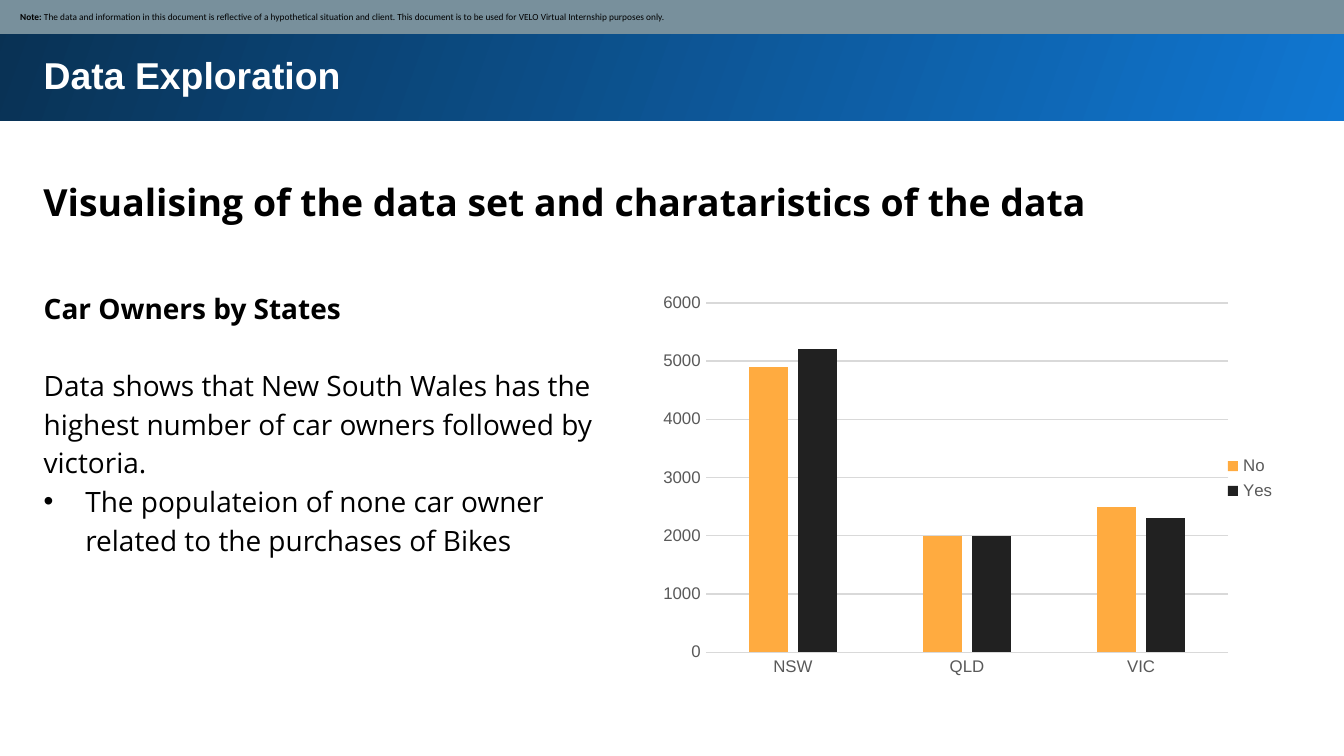
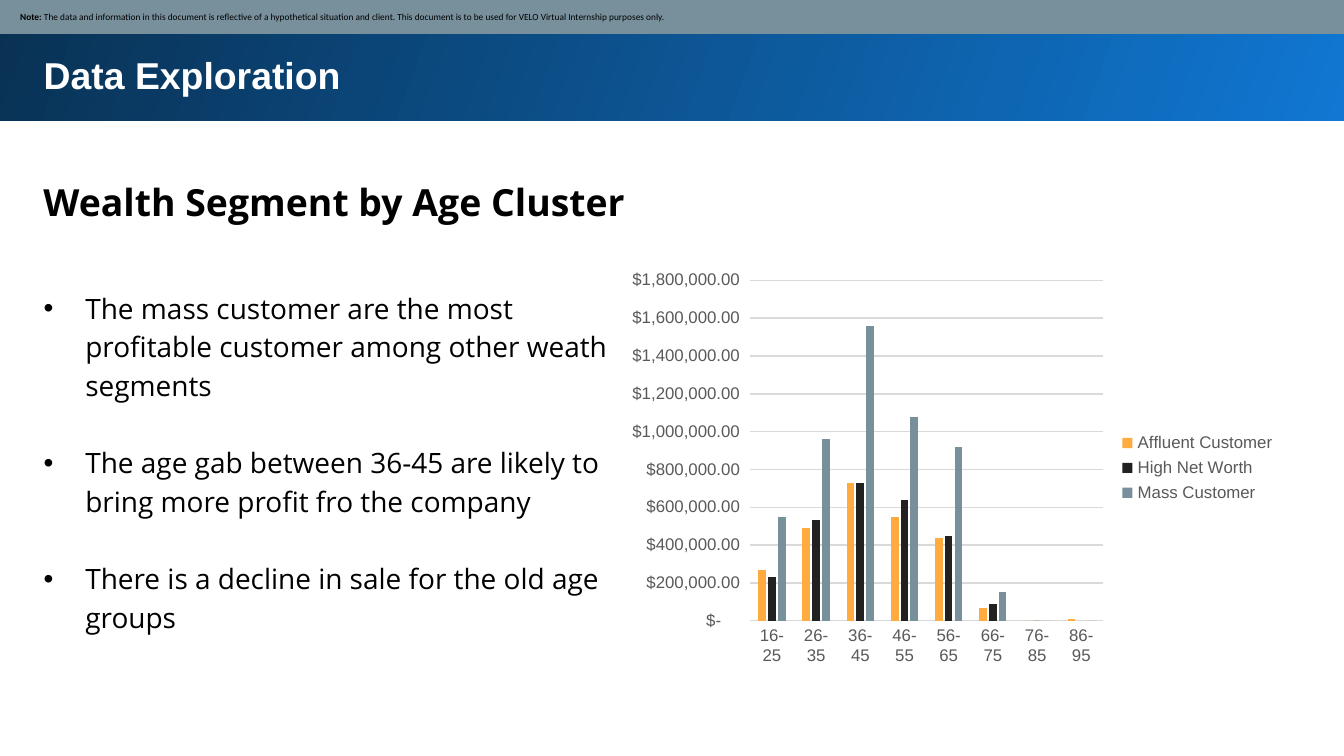
from lxml.etree import SubElement
from pptx import Presentation
from pptx.chart.data import CategoryChartData
from pptx.dml.color import RGBColor
from pptx.enum.chart import XL_CHART_TYPE, XL_LEGEND_POSITION, XL_TICK_MARK
from pptx.enum.shapes import MSO_SHAPE
from pptx.enum.text import MSO_ANCHOR, MSO_AUTO_SIZE, PP_ALIGN
from pptx.oxml import parse_xml
from pptx.oxml.ns import nsdecls, qn
from pptx.util import Inches, Pt

BLACK, WHITE, GREY, RULE = "000000", "FFFFFF", "595959", "D9D9D9"
BLUE, NAVY = "1077D2", "093153"
ORANGE, CHARCOAL, SLATE = "FFAB40", "212121", "78909C"
SERIES_COLORS = [ORANGE, CHARCOAL, SLATE]
DOLLARS = (r'_-[$$-409]* #,##0.00_ ;_-[$$-409]* \-#,##0.00\ ;'
           r'_-[$$-409]* "-"??_ ;_-@_ ')
NOTE = ("The data and information in this document is reflective of a "
        "hypothetical situation and client. This document is to be used for "
        "VELO Virtual Internship purposes only.")
LINE = 20.7    # one line of body text, in points
INDENT = Inches(0.31)

# Body paragraphs are (text, bold, bullet, points before).
SLIDES = [
    {
        "heading": "Visualising of the data set and charataristics of the data",
        "body": [
            ("Car Owners by States", True, False, 0),
            ("Data shows that New South Wales has the highest number of car "
             "owners followed by victoria.", False, False, LINE),
            ("The populateion of none car owner related to the purchases of "
             "Bikes", False, True, 0),
        ],
        "body_height": 50,
        "chart_top": 36.1,
        "categories": ["NSW", "QLD", "VIC"],
        "series": {"No": [4900, 2000, 2500], "Yes": [5200, 2000, 2300]},
        "format": "General",
        "axis": (6000, 1000),
        "plot": {"x": 0.136, "y": 0.073, "w": 0.774, "h": 0.85},
    },
    {
        "heading": "Wealth Segment by Age Cluster",
        "body": [
            ("The mass customer are the most profitable customer among other "
             "weath segments", False, True, 0),
            ("The age gab between 36-45 are likely to bring more profit fro "
             "the company", False, True, LINE),
            ("There is a decline in sale for the old age groups",
             False, True, LINE),
        ],
        "body_height": 55.2,
        "chart_top": 34.7,
        "categories": [f"{a}-{a + 9}" for a in range(16, 87, 10)],
        "series": {
            "Affluent Customer": [270000, 490000, 730000, 550000,
                                  440000, 70000, 0, 10000],
            "High Net Worth": [230000, 530000, 730000, 640000,
                               450000, 90000, 0, None],
            "Mass Customer": [550000, 960000, 1560000, 1080000,
                              920000, 150000, 0, 0],
        },
        "format": DOLLARS,
        "axis": (1800000, 200000),
        "plot": None,
    },
]

prs = Presentation()
prs.slide_width = Inches(10)
prs.slide_height = prs.slide_width * 9 // 16
rgb = RGBColor.from_string


def area(x, y, w, h):
    """Turn percentages of the slide into left, top, width and height."""
    return [int(size * share / 100) for size, share in
            zip((prs.slide_width, prs.slide_height) * 2, (x, y, w, h))]


def style(font, name, size, color, bold=False):
    """Set the face, size, colour and weight of a font."""
    font.name, font.size, font.bold = name, Pt(size), bold
    font.color.rgb = rgb(color)


for page in SLIDES:
    s = prs.slides.add_slide(prs.slide_layouts[1])
    title, body = s.shapes.title, s.placeholders[1]

    # Gradient band, behind the title
    band = s.shapes.add_shape(MSO_SHAPE.RECTANGLE, *area(-0.2, -0.36, 100.5, 16.36))
    band.shadow.inherit = False
    band.line.fill.background()
    band.fill.gradient()
    band.fill.gradient_angle = 160
    for stop, color in zip(band.fill.gradient_stops, (BLUE, NAVY)):
        stop.color.rgb = rgb(color)
    title.element.addprevious(band.element)

    # Title, heading and body
    heading = s.shapes.add_textbox(*area(2.25, 21, 93.7, 10))
    title.left, title.top, title.width, title.height = area(2.25, 5.16, 93.7, 9.1)
    body.left, body.top, body.width, body.height = area(
        2.25, 36.1, 45.2, page["body_height"])
    body.element.addprevious(heading.element)
    for sp in (title, heading, body):
        tf = sp.text_frame
        tf.word_wrap = True
        tf.auto_size = MSO_AUTO_SIZE.SHAPE_TO_FIT_TEXT
        tf.vertical_anchor = MSO_ANCHOR.TOP
        tf.margin_left = tf.margin_right = Inches(0.1)
        tf.margin_top = tf.margin_bottom = Inches(0.1)

    title.text_frame.text = "Data Exploration"
    p = title.text_frame.paragraphs[0]
    p.alignment = PP_ALIGN.LEFT
    style(p.runs[0].font, "Arial", 20, WHITE, True)

    heading.text_frame.text = page["heading"]
    p = heading.text_frame.paragraphs[0]
    p.line_spacing = 1.15
    style(p.runs[0].font, "Open Sans", 20, BLACK, True)

    tf = body.text_frame
    tf.text = "\n".join(item[0] for item in page["body"])
    for p, (_, bold, bullet, before) in zip(tf.paragraphs, page["body"]):
        p.line_spacing = 1.15
        p.space_before = Pt(before)
        style(p.runs[0].font, "Open Sans", 15, BLACK, bold)
        pPr = p._p.get_or_add_pPr()
        pPr.set("marL", str(INDENT if bullet else 0))
        pPr.set("indent", str(-INDENT if bullet else 0))
        if bullet:
            SubElement(pPr, qn("a:buFont"), typeface="Arial")
            SubElement(pPr, qn("a:buChar"), char="•")
        else:
            SubElement(pPr, qn("a:buNone"))

    # Note strip
    strip = s.shapes.add_shape(MSO_SHAPE.RECTANGLE, *area(-0.1, -0.15, 100.3, 4.65))
    strip.shadow.inherit = False
    strip.line.fill.background()
    strip.fill.solid()
    strip.fill.fore_color.rgb = rgb(SLATE)
    tf = strip.text_frame
    tf.word_wrap = True
    tf.vertical_anchor = MSO_ANCHOR.MIDDLE
    tf.margin_left = Inches(0.16)
    tf.margin_right = tf.margin_top = tf.margin_bottom = Inches(0.05)
    p = tf.paragraphs[0]
    p.alignment = PP_ALIGN.LEFT
    for text, bold in (("Note: ", True), (NOTE, False)):
        r = p.add_run()
        r.text = text
        style(r.font, "Calibri", 5, BLACK, bold)

    # Chart
    data = CategoryChartData(number_format=page["format"])
    data.categories = page["categories"]
    for name, values in page["series"].items():
        data.add_series(name, values)
    chart = s.shapes.add_chart(
        XL_CHART_TYPE.COLUMN_CLUSTERED,
        *area(45.7, page["chart_top"], 50.2, 54.4), data).chart
    style(chart.font, "Arial", 10, BLACK)
    chart.has_title = False
    chart.has_legend = True
    chart.legend.position = XL_LEGEND_POSITION.RIGHT
    chart.legend.include_in_layout = False
    style(chart.legend.font, "Arial", 9, GREY)

    plot = chart.plots[0]
    plot.gap_width, plot.overlap = 219, -27
    plot.vary_by_categories = False
    for series, color in zip(plot.series, SERIES_COLORS):
        series.invert_if_negative = False
        series.format.fill.solid()
        series.format.fill.fore_color.rgb = rgb(color)

    cat, val = chart.category_axis, chart.value_axis
    for axis in (cat, val):
        axis.major_tick_mark = axis.minor_tick_mark = XL_TICK_MARK.NONE
        style(axis.tick_labels.font, "Arial", 9, GREY)
    val.has_major_gridlines = True
    for line in (cat.format.line, val.major_gridlines.format.line):
        line.color.rgb = rgb(RULE)
        line.width = Pt(0.75)
    val.format.line.fill.background()
    val.minimum_scale = 0
    val.maximum_scale, val.major_unit = page["axis"]
    val.tick_labels.number_format = page["format"]
    val.tick_labels.number_format_is_linked = False

    if page["plot"]:
        plot_area = chart.element.find(".//" + qn("c:plotArea"))
        for old in plot_area.findall(qn("c:layout")):
            plot_area.remove(old)
        layout = parse_xml(f'<c:layout {nsdecls("c")}><c:manualLayout/></c:layout>')
        SubElement(layout[0], qn("c:layoutTarget"), val="inner")
        for side in "xy":
            SubElement(layout[0], qn(f"c:{side}Mode"), val="edge")
        for side, share in page["plot"].items():
            SubElement(layout[0], qn(f"c:{side}"), val=str(share))
        plot_area.insert(0, layout)

prs.save("out.pptx")
